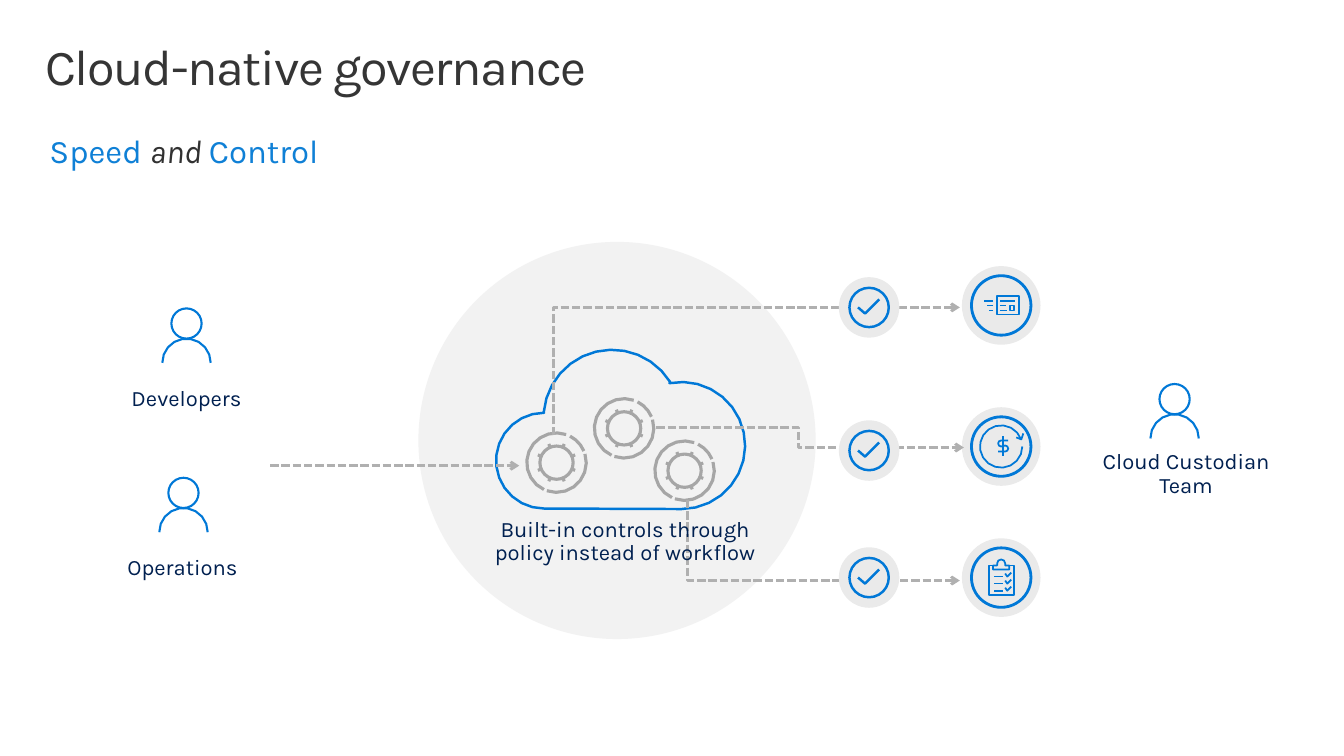
from dataclasses import dataclass
from math import acos, ceil, cos, degrees, radians, sin

from lxml import etree
from pptx import Presentation
from pptx.dml.color import RGBColor
from pptx.enum.dml import MSO_LINE
from pptx.enum.shapes import MSO_CONNECTOR, MSO_SHAPE
from pptx.enum.text import MSO_ANCHOR, PP_ALIGN
from pptx.oxml.ns import qn
from pptx.util import Inches, Pt

OVAL = MSO_SHAPE.OVAL
STRAIGHT = MSO_CONNECTOR.STRAIGHT
DASHED = MSO_LINE.SQUARE_DOT
TOP, MIDDLE = MSO_ANCHOR.TOP, MSO_ANCHOR.MIDDLE
LEFT, CENTER = PP_ALIGN.LEFT, PP_ALIGN.CENTER
FLATNESS = 1 / 250  # largest gap between an arc and its chords, in inches


@dataclass(frozen=True)
class Theme:
    font: str = "Karla"
    title_size: float = 36
    subtitle_size: float = 23.5
    label_size: float = 15.7
    title: str = "353535"
    accent: str = "0F80D6"
    body: str = "313131"
    label: str = "002050"
    icon: str = "0078D7"
    gear: str = "A6A6A6"
    route: str = "B0B0B0"
    disc: str = "F2F2F2"
    halo: str = "EAEAEA"


def arc(cx, cy, radius, start, end):
    """Points along an arc, in degrees clockwise from the right."""
    chord = 2 * degrees(acos(1 - FLATNESS / radius))
    steps = ceil(abs(end - start) / chord)
    angles = [radians(start + (end - start) * i / steps) for i in range(steps + 1)]
    return [(cx + radius * cos(a), cy + radius * sin(a)) for a in angles]


def box(left, top, right, bottom):
    return [(left, top), (right, top), (right, bottom), (left, bottom), (left, top)]


class GovernanceSlide:
    def __init__(self, slide, theme):
        self.shapes = slide.shapes
        self.theme = theme

    def paint(self, shape, fill=None, line=None, width=1):
        shape.shadow.inherit = False
        if fill:
            shape.fill.solid()
            shape.fill.fore_color.rgb = RGBColor.from_string(fill)
        else:
            shape.fill.background()
        if line:
            self.stroke(shape, line, width)
        else:
            shape.line.fill.background()

    def stroke(self, shape, color, width):
        shape.line.color.rgb = RGBColor.from_string(color)
        shape.line.width = Pt(width)

    def arrow(self, shape):
        """Dash the line and end it in an open arrowhead."""
        self.stroke(shape, self.theme.route, 2)
        shape.line.dash_style = DASHED
        outline = shape._element.spPr.find(qn("a:ln"))
        etree.SubElement(outline, qn("a:tailEnd"), type="arrow")

    def circle(self, cx, cy, radius, fill=None, line=None, width=1):
        shape = self.shapes.add_shape(OVAL, Inches(cx - radius), Inches(cy - radius),
                                      Inches(2 * radius), Inches(2 * radius))
        self.paint(shape, fill, line, width)

    def outline(self, contours, line, width, fill=None, cx=0, cy=0):
        """Draw contours placed relative to (cx, cy); equal ends close one."""
        builder = None
        for contour in contours:
            points = [(Inches(cx + x), Inches(cy + y)) for x, y in contour]
            if builder is None:
                builder = self.shapes.build_freeform(*points[0], scale=1.0)
            else:
                builder.move_to(*points[0])
            closed = points[0] == points[-1]
            builder.add_line_segments(points[1:-1] if closed else points[1:], close=closed)
        shape = builder.convert_to_shape()
        self.paint(shape, fill, line, width)
        return shape

    def text(self, left, top, width, height, runs, size, inset=(0, 0),
             align=LEFT, anchor=TOP, spacing=None):
        frame = self.shapes.add_textbox(Inches(left), Inches(top),
                                        Inches(width), Inches(height)).text_frame
        frame.word_wrap = True
        frame.vertical_anchor = anchor
        frame.margin_left = frame.margin_right = Inches(inset[0])
        frame.margin_top = frame.margin_bottom = Inches(inset[1])
        paragraph = frame.paragraphs[0]
        paragraph.alignment = align
        paragraph.line_spacing = 0.9
        for words, color, italic in runs:
            run = paragraph.add_run()
            run.text = words
            run.font.name = self.theme.font
            run.font.size = Pt(size)
            run.font.italic = italic
            run.font.color.rgb = RGBColor.from_string(color)
            if spacing:
                run._r.get_or_add_rPr().set("spc", str(spacing))

    def label(self, left, top, width, height, words):
        self.text(left, top, width, height, [(words, self.theme.label, False)],
                  self.theme.label_size, align=CENTER, anchor=MIDDLE)

    def route(self, points):
        self.arrow(self.outline([points], self.theme.route, 2))

    def straight_route(self, x1, x2, y):
        line = self.shapes.add_connector(STRAIGHT, Inches(x1), Inches(y),
                                         Inches(x2), Inches(y))
        self.arrow(line)
        etree.SubElement(line._element.spPr, qn("a:effectLst"))

    def person(self, cx, top):
        self.circle(cx, top + 0.15, 0.15, line=self.theme.icon, width=1.5)
        self.outline([arc(0, 0.54, 0.24, 360, 180)], self.theme.icon, 1.5, cx=cx, cy=top)

    def gear(self, cx, cy):
        self.circle(cx, cy, 0.165, line=self.theme.gear, width=2.25)
        teeth = []
        for k in range(8):
            a = radians(22.5 + 45 * k)
            teeth.append([(r * cos(a), r * sin(a)) for r in (0.16, 0.2)])
        rim = [arc(0, 0, 0.295, start, end)
               for start, end in ((-71, -245), (109, -17), (-23, -63))]
        self.outline(rim + teeth, self.theme.gear, 2.25, cx=cx, cy=cy)

    def check(self, cx, cy):
        self.circle(cx, cy, 0.3, fill=self.theme.halo)
        self.circle(cx, cy, 0.195, line=self.theme.icon, width=1.75)
        tick = [(-0.11, 0), (-0.04, 0.06), (0.1, -0.08)]
        self.outline([tick], self.theme.icon, 1.75, cx=cx, cy=cy)

    def badge(self, cx, cy, icon):
        self.circle(cx, cy, 0.39, fill=self.theme.halo)
        self.circle(cx, cy, 0.295, line=self.theme.icon, width=2)
        self.outline(icon, self.theme.icon, 1.25, cx=cx, cy=cy)


# Icons, placed relative to the centre of their badge
ID_CARD = [[(x1, y), (x2, y)] for x1, x2, y in (
    (-0.08, -0.14, 0), (-0.08, -0.17, -0.04), (-0.08, -0.12, 0.05),
    (-0.01, 0.05, 0), (-0.01, 0.14, -0.04), (-0.01, 0.06, 0.05))]
ID_CARD += [box(-0.04, -0.09, 0.18, 0.09), box(0.09, 0, 0.13, 0.05)]

COST_CYCLE = [
    arc(0, 0, 0.21, 0, 340),
    [(0.15, -0.09), (0.2, -0.07), (0.22, -0.13)],
    [(-0.03, 0.05), *arc(0.04, 0.02, 0.03, 90, -90),
     *arc(0, -0.03, 0.03, 90, 270), (0.07, -0.06)],
    [(0.02, -0.1), (0.02, 0.09)]]

CLIPBOARD = [
    [(-0.04, -0.12), *arc(0, -0.14, 0.04, 180, 360), (0.04, -0.12), (0.08, -0.12),
     (0.08, -0.08), (-0.08, -0.08), (-0.08, -0.12), (-0.04, -0.12)],
    [(-0.08, -0.12), (-0.12, -0.12), (-0.12, 0.17), (0.13, 0.17),
     (0.13, -0.12), (0.08, -0.12)]]
for row in (-0.01, 0.06, 0.13):
    CLIPBOARD += [[(-0.07, row), (0.02, row)],
                  [(0.04, row - 0.03), (0.06, row), (0.1, row - 0.04)]]


def main():
    deck = Presentation()
    deck.slide_width, deck.slide_height = Inches(13.33), Inches(7.5)
    theme = Theme()
    page = GovernanceSlide(deck.slides.add_slide(deck.slide_layouts[6]), theme)

    # Cloud on its disc
    page.circle(6.12, 4.37, 1.97, fill=theme.disc)
    cloud = [*arc(5.395, 4.57, 0.475, 90, 270), *arc(6.07, 4.15, 0.68, 185, 328),
             *arc(6.76, 4.42, 0.63, 259, 450)]
    page.outline([cloud + cloud[:1]], theme.icon, 1.75, theme.disc)

    # Headings
    page.text(0.29, 0.32, 12.75, 0.98, [("Cloud-native governance", theme.title, False)],
              theme.title_size, inset=(0.16, 0.1), spacing=-100)
    page.text(0.3, 1.19, 11.68, 0.67,
              [("Speed ", theme.accent, False), ("and ", theme.body, True),
               ("Control", theme.accent, False)],
              theme.subtitle_size, inset=(0.19, 0.15))

    # Outcomes
    for cy, icon in ((5.73, CLIPBOARD), (4.43, COST_CYCLE), (3.03, ID_CARD)):
        page.badge(9.93, cy, icon)

    # Gears and the routes between them and the outcomes
    page.straight_route(2.68, 5.15, 4.62)
    for cx, cy in ((5.52, 4.59), (6.19, 4.25), (6.79, 4.67)):
        page.gear(cx, cy)
    page.route([(5.49, 4.32), (5.49, 3.05), (9.52, 3.05)])
    page.route([(6.82, 4.96), (6.82, 5.76), (9.52, 5.76)])
    page.label(4.81, 5.14, 2.78, 0.47, "Built-in controls through policy instead of workflow")
    page.route([(6.51, 4.24), (7.92, 4.24), (7.92, 4.44), (9.56, 4.44)])
    for cy in (4.47, 5.73, 3.05):
        page.check(8.62, cy)

    # People
    page.person(1.85, 3.06)
    page.label(0.95, 3.84, 1.8, 0.24, "Developers")
    page.person(1.82, 4.74)
    page.label(0.91, 5.52, 1.8, 0.24, "Operations")
    page.person(11.65, 3.81)
    page.label(10.75, 4.47, 2.03, 0.47, "Cloud Custodian Team")

    deck.save("out.pptx")


if __name__ == "__main__":
    main()
